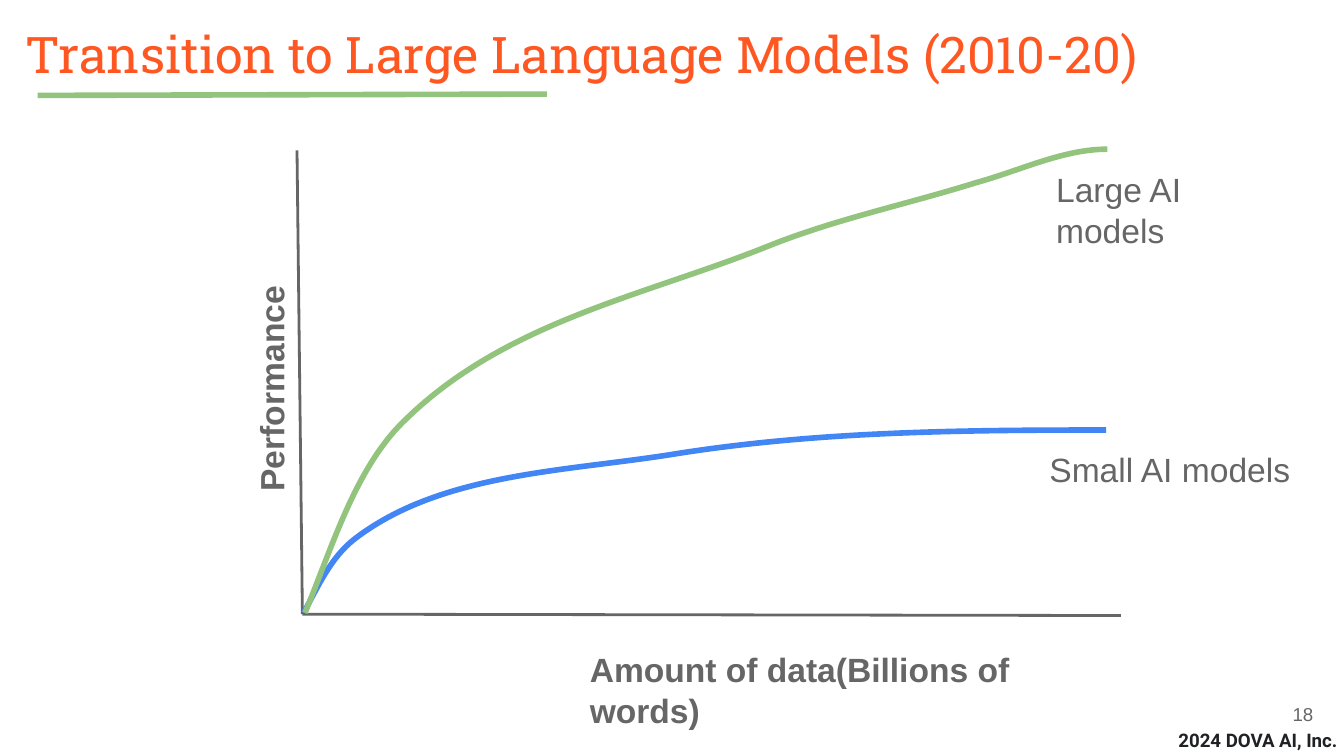
from lxml import etree
from pptx import Presentation
from pptx.dml.color import RGBColor
from pptx.enum import shapes, text
from pptx.oxml import ns
from pptx.util import Inches, Pt

ORANGE = RGBColor(0xFF, 0x57, 0x22)
GREEN = RGBColor(0x93, 0xC4, 0x7D)
BLUE = RGBColor(0x42, 0x85, 0xF4)
GRAY = RGBColor(0x66, 0x66, 0x66)
INK = RGBColor(0x20, 0x21, 0x24)

SMALL_CURVE = [(0.05, 3.45), (0.16, 3.25), (0.25, 3.04), (0.43, 2.9),
               (1.07, 2.41), (1.99, 2.4), (2.8, 2.27),
               (3.86, 2.1), (4.94, 2.09), (6.02, 2.09)]
LARGE_CURVE = [(0.06, 3.45), (0.27, 2.94), (0.44, 2.36), (0.81, 2.01),
               (1.56, 1.28), (2.59, 1.09), (3.51, 0.72),
               (4.01, 0.52), (4.54, 0.41), (5.05, 0.25),
               (5.38, 0.16), (5.7, 0), (6.03, 0)]


def add_text(s, box, words, size=18, font="Arial", color=GRAY, bold=False,
             align=text.PP_ALIGN.LEFT, anchor=text.MSO_ANCHOR.TOP, rotation=0):
    """Add a wrapped text box in one format."""
    sp = s.shapes.add_textbox(*map(Inches, box))
    sp.rotation = rotation
    tf = sp.text_frame
    tf.word_wrap = True
    tf.vertical_anchor = anchor
    tf.margin_left = tf.margin_right = tf.margin_top = tf.margin_bottom = Inches(0.1)
    p = tf.paragraphs[0]
    p.alignment = align
    r = p.add_run()
    r.text = words
    r.font.size, r.font.name, r.font.bold = Pt(size), font, bold
    r.font.color.rgb = color
    return sp


def add_line(s, start, end, color, width):
    """Add a straight line without a shadow."""
    line = s.shapes.add_connector(shapes.MSO_CONNECTOR.STRAIGHT,
                                  *map(Inches, start + end))
    line.line.color.rgb = color
    line.line.width = Pt(width)
    etree.SubElement(line._element.spPr, ns.qn("a:effectLst"))
    return line


def add_curve(s, left, top, points, color):
    """Add an open Bezier curve: a start, then three points per segment."""
    spots = [(Inches(left + x), Inches(top + y)) for x, y in points]
    builder = s.shapes.build_freeform(*spots[0])
    builder.add_line_segments(spots[1:], close=False)
    sp = builder.convert_to_shape()
    sp.shadow.inherit = False
    sp.fill.background()
    sp.line.color.rgb = color
    sp.line.width = Pt(3)
    steps = list(sp._element.iter(ns.qn("a:lnTo")))
    for i in range(0, len(steps), 3):
        bezier = etree.Element(ns.qn("a:cubicBezTo"))
        steps[i].addprevious(bezier)
        for step in steps[i:i + 3]:
            bezier.append(step[0])
            step.getparent().remove(step)
    return sp


def add_header(s, left, top, width, height):
    """Place the title and its green rule."""
    add_text(s, (left, top, width, height),
             "Transition to Large Language Models (2010-20)",
             size=27, font="Roboto Slab", color=ORANGE)
    add_line(s, (left + 0.19, top + 0.64), (left + 3.98, top + 0.63), GREEN, 3)


def add_plot(s, left, top, width, height):
    """Place the axes, the two curves and their labels."""
    origin = (left + 0.04, top + height)
    add_line(s, origin, (left + width, top + height + 0.01), GRAY, 1.5)
    add_line(s, origin, (left, top + 0.01), GRAY, 1.5)
    add_curve(s, left, top, SMALL_CURVE, BLUE)
    add_curve(s, left, top, LARGE_CURVE, GREEN)
    add_text(s, (left + 2.08, top + 3.62, 4.19, 0.45),
             "Amount of data(Billions of words)", bold=True)
    add_text(s, (left - 1.29, top + 1.5, 1.99, 0.3),
             "Performance", bold=True, rotation=270)
    add_text(s, (left + 5.5, top + 2.13, 2, 0.3), "Small AI models")
    add_text(s, (left + 5.55, top + 0.05, 2, 0.35), "Large AI models")


def add_footer(s, left, top):
    """Place the page number above the owner line."""
    add_text(s, (left, top + 0.24, 1.45, 0.31), "2024 DOVA AI, Inc.",
             size=10, font="Roboto", color=INK, bold=True)
    add_text(s, (left + 0.6, top, 0.6, 0.43), "18", size=10,
             align=text.PP_ALIGN.RIGHT, anchor=text.MSO_ANCHOR.MIDDLE)


def main():
    """Build and save the slide."""
    prs = Presentation()
    prs.slide_width = Inches(10)
    prs.slide_height = prs.slide_width * 9 // 16
    s = prs.slides.add_slide(prs.slide_layouts[6])
    add_header(s, 0.09, 0.07, 9.78, 0.63)
    add_plot(s, 2.21, 1.11, 6.13, 3.46)
    add_footer(s, 8.67, 5.1)
    prs.save("out.pptx")


if __name__ == "__main__":
    main()
